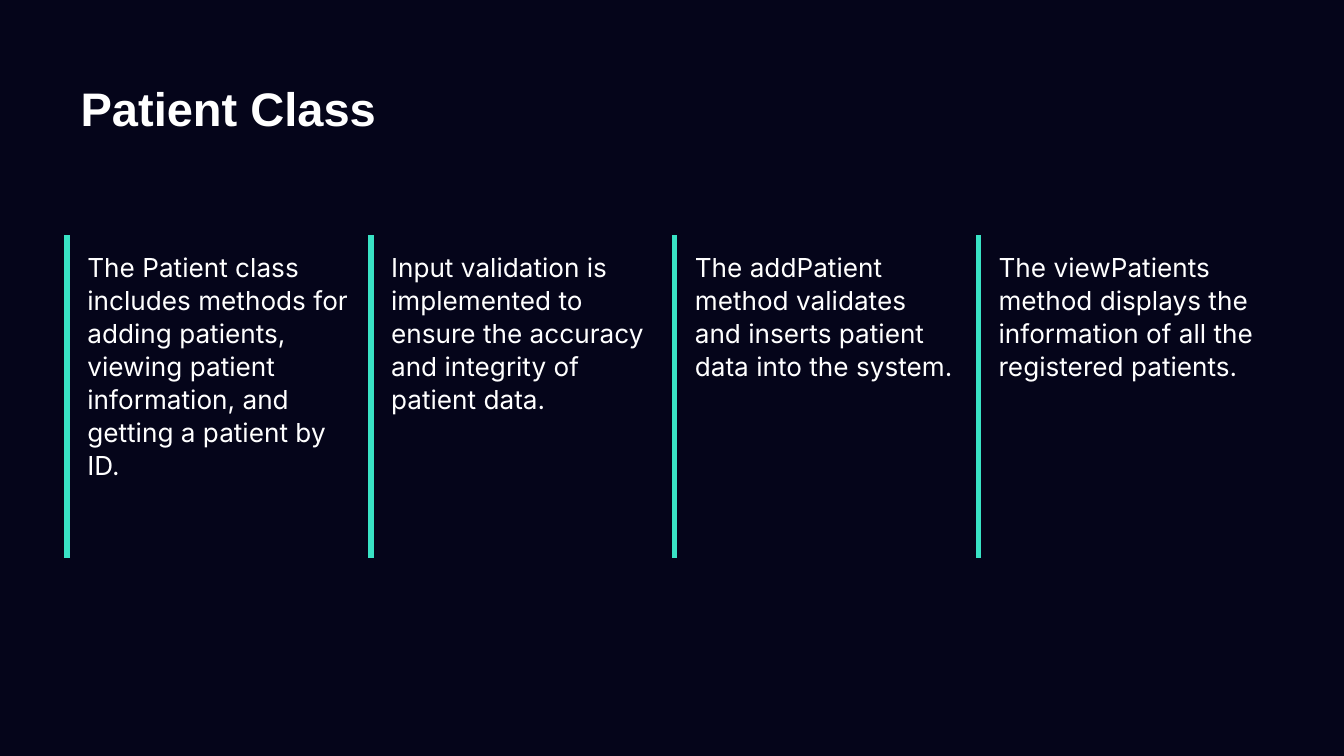
from lxml import etree
from pptx import Presentation
from pptx.dml.color import RGBColor
from pptx.enum.shapes import MSO_CONNECTOR
from pptx.enum.text import MSO_ANCHOR, MSO_AUTO_SIZE, PP_ALIGN
from pptx.oxml.ns import qn
from pptx.util import Inches, Pt

NAVY = RGBColor(0x05, 0x05, 0x1A)
WHITE = RGBColor(0xFF, 0xFF, 0xFF)
TEAL = RGBColor(0x39, 0xE3, 0xC5)
LEFT, TOP, MIDDLE = PP_ALIGN.LEFT, MSO_ANCHOR.TOP, MSO_ANCHOR.MIDDLE
FIXED = MSO_AUTO_SIZE.NONE
STRAIGHT = MSO_CONNECTOR.STRAIGHT
COMPARE = 4
WIDE = 10

NOTES = [
    "The Patient class includes methods for adding patients, viewing patient "
    "information, and getting a patient by ID.",
    "Input validation is implemented to ensure the accuracy and integrity of "
    "patient data.",
    "The addPatient method validates and inserts patient data into the system.",
    "The viewPatients method displays the information of all the registered "
    "patients.",
]


def fill_text(holder, text, box, anchor, inset, face, size, bold):
    holder.left, holder.top, holder.width, holder.height = map(Inches, box)
    frame = holder.text_frame
    frame.text = text
    frame.word_wrap = True
    frame.auto_size = FIXED
    frame.vertical_anchor = anchor
    frame.margin_left = Inches(inset)
    frame.margin_right = frame.margin_top = frame.margin_bottom = Inches(0.1)
    para = frame.paragraphs[0]
    para.alignment = LEFT
    para.space_before = Pt(0)
    font = para.font
    font.name, font.size, font.bold = face, Pt(size), bold
    font.color.rgb = WHITE
    return para


def add_title(slide, box):
    fill_text(slide.shapes.title, "Patient Class", box, MIDDLE, 0.1,
              "Arial", 25.2, True)


def clear_bullet(para):
    props = para._p.get_or_add_pPr()
    props.set("marL", "0")
    props.set("indent", "0")
    props.find(qn("a:defRPr")).addprevious(etree.Element(qn("a:buNone")))


def add_rule(slide, x, y, height):
    rule = slide.shapes.add_connector(
        STRAIGHT, Inches(x), Inches(y), Inches(x), Inches(y + height))
    rule.line.color.rgb = TEAL
    rule.line.width = Pt(3)
    etree.SubElement(rule._element.spPr, qn("a:effectLst"))


def add_columns(slide, holders, box, gap=0.04, drop=0.01):
    x, y, width, height = box
    step = (width + gap) / len(NOTES)
    for i, (holder, note) in enumerate(zip(holders, NOTES)):
        left = x + i * step
        area = (left, y + drop, step - gap, height - drop)
        para = fill_text(holder, note, area, TOP, 0.15, "Inter", 14, False)
        para.line_spacing = 1.05
        para.space_after = Pt(10)
        clear_bullet(para)
        add_rule(slide, left, y, height)


def main():
    deck = Presentation()
    deck.slide_width, deck.slide_height = Inches(WIDE), Inches(WIDE * 9 / 16)
    slide = deck.slides.add_slide(deck.slide_layouts[COMPARE])
    back = slide.background.fill
    back.solid()
    back.fore_color.rgb = NAVY
    add_title(slide, (0.5, 0.49, 9, 0.63))
    holders = [slide.placeholders[i] for i in range(1, 5)]
    add_columns(slide, holders, (0.5, 1.75, 9, 2.4))
    deck.save("out.pptx")


if __name__ == "__main__":
    main()
